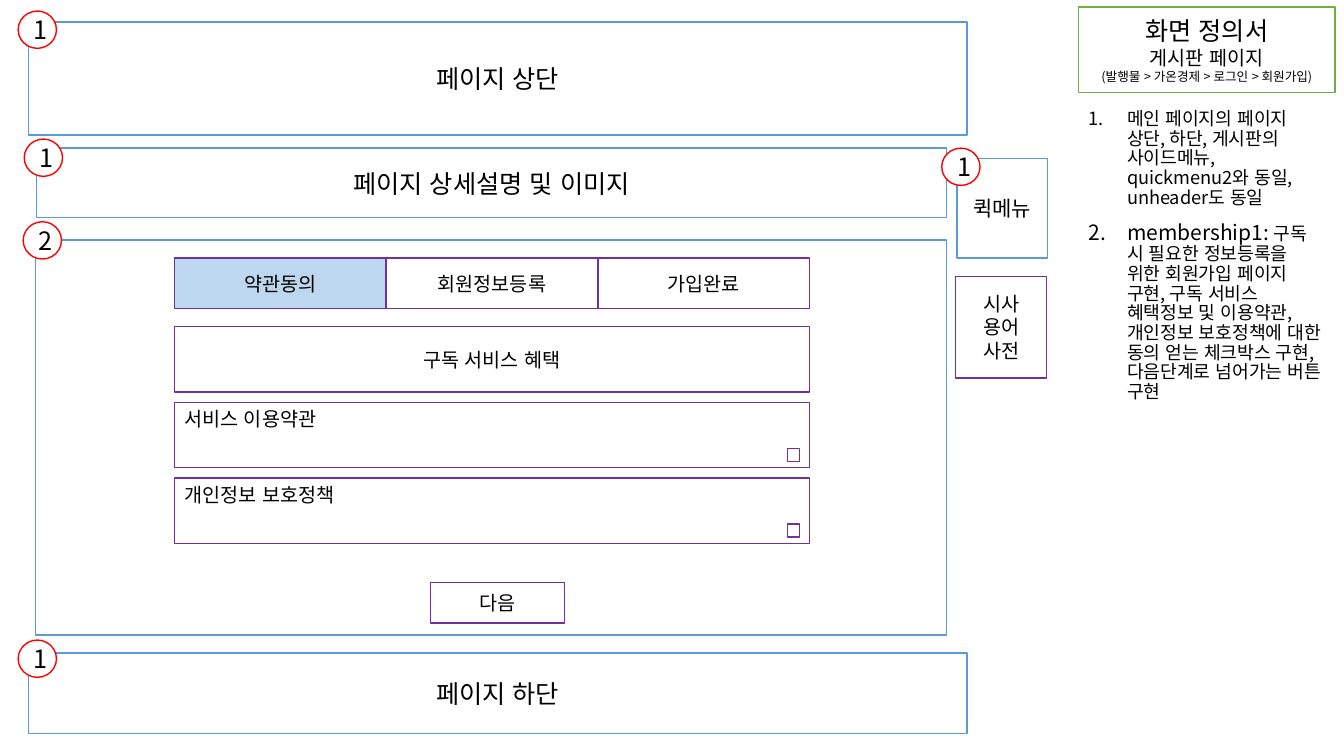
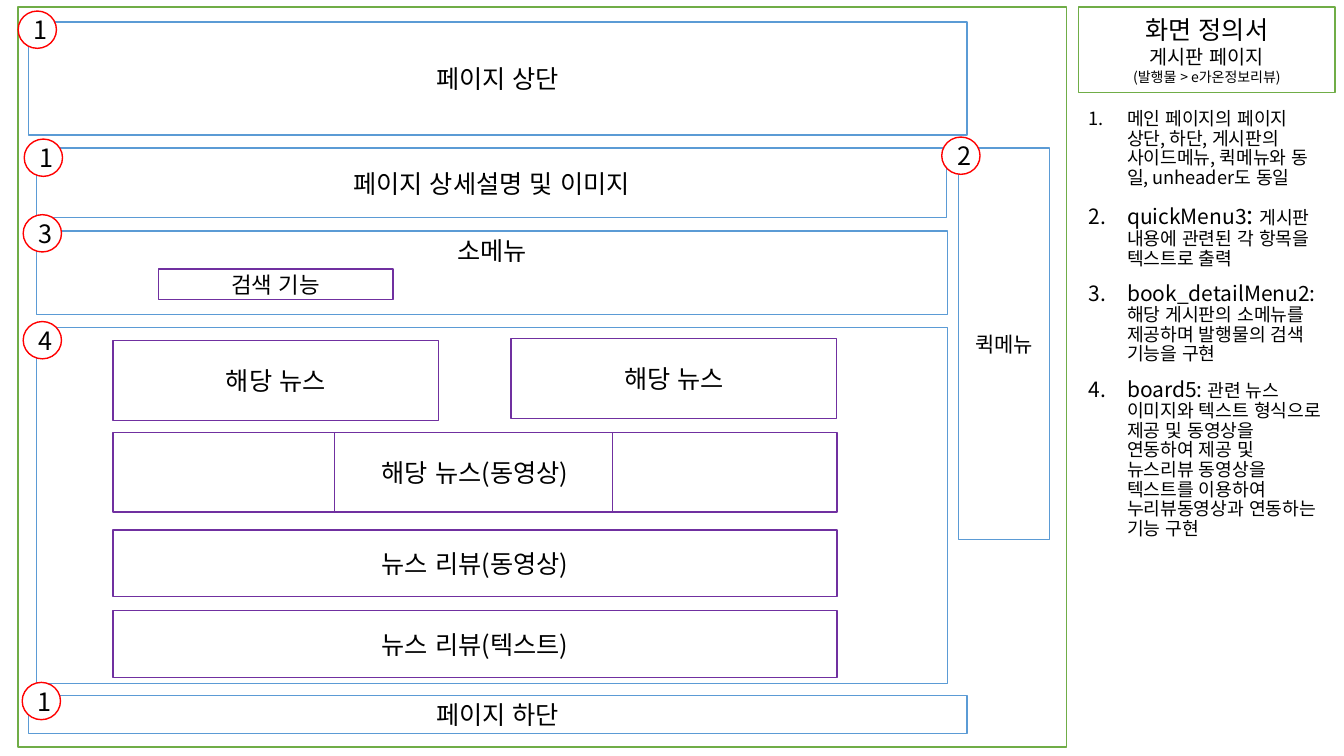
"""Build two screen-definition slides with wireframes and numbered notes."""
from dataclasses import dataclass

from lxml import etree
from pptx import Presentation
from pptx import util as u
from pptx.dml.color import RGBColor
from pptx.enum import lang, shapes, text
from pptx.oxml.ns import qn

FONT = "Noto Sans CJK KR"
COLORS = {
    "text": "000000",
    "paper": "FFFFFF",
    "section": "5B9BD5",
    "part": "7030A0",
    "frame": "70AD47",
    "badge": "FF0000",
    "active": "BDD7EE",
}
TERMS_TOPS = (3.99, 4.74)


@dataclass
class Box:
    x: float
    y: float
    w: float
    h: float
    label: str = ""
    size: float = 18
    line: str = "section"
    fill: str = "paper"
    align: text.PP_ALIGN = text.PP_ALIGN.CENTER
    anchor: text.MSO_ANCHOR = text.MSO_ANCHOR.MIDDLE


@dataclass
class Badge:
    x: float
    y: float
    number: int


@dataclass
class Span:
    label: str
    size: float = 13


@dataclass
class Screen:
    trail: Span
    notes: list[list[Span]]
    boxes: list[Box]
    badges: list[Badge]
    dividers: list[tuple[float, float, float]]


def rgb(name: str) -> RGBColor:
    return RGBColor.from_string(COLORS[name])


def format_run(r, size: float) -> None:
    r.font.size = u.Pt(size)
    r.font.name = FONT
    r.font.color.rgb = rgb("text")
    r.font.language_id = lang.MSO_LANGUAGE_ID.KOREAN
    ea = etree.SubElement(r.font._element, qn("a:ea"))
    ea.set("typeface", FONT)


def add_box(slide, box: Box, preset=shapes.MSO_SHAPE.RECTANGLE):
    sp = slide.shapes.add_shape(preset, u.Inches(box.x), u.Inches(box.y), u.Inches(box.w), u.Inches(box.h))
    sp.shadow.inherit = False
    sp.fill.solid()
    sp.fill.fore_color.rgb = rgb(box.fill)
    sp.line.color.rgb = rgb(box.line)
    sp.line.width = u.Pt(1)
    if box.label:
        tf = sp.text_frame
        tf.word_wrap = True
        tf.vertical_anchor = box.anchor
        p = tf.paragraphs[0]
        p.text = box.label
        p.alignment = box.align
        format_run(p.runs[0], box.size)
    return sp


def add_badge(slide, badge: Badge) -> None:
    box = Box(badge.x, badge.y, 0.38, 0.37, str(badge.number), line="badge")
    add_box(slide, box, shapes.MSO_SHAPE.FLOWCHART_CONNECTOR)


def add_divider(slide, x: float, top: float, bottom: float) -> None:
    line = slide.shapes.add_connector(
        shapes.MSO_CONNECTOR.STRAIGHT, u.Inches(x), u.Inches(top), u.Inches(x), u.Inches(bottom)
    )
    line.line.color.rgb = rgb("part")
    line.line.width = u.Pt(0.5)
    etree.SubElement(line._element.spPr, qn("a:effectLst"))


def add_heading(slide, trail: Span) -> None:
    tf = add_box(slide, Box(10.7, 0.07, 2.54, 0.85, "화면 정의서", line="frame")).text_frame
    tf.margin_left = tf.margin_right = 0
    for span in (Span("게시판 페이지", 14), trail):
        p = tf.add_paragraph()
        p.text = span.label
        p.alignment = text.PP_ALIGN.CENTER
        format_run(p.runs[0], span.size)


def add_notes(slide, notes: list[list[Span]]) -> None:
    sp = slide.shapes.add_textbox(u.Inches(10.7), u.Inches(1.04), u.Inches(2.54), u.Inches(6.23))
    tf = sp.text_frame
    tf.word_wrap = True
    for i, spans in enumerate(notes):
        p = tf.add_paragraph() if i else tf.paragraphs[0]
        p.line_spacing = 0.9
        p.space_before = u.Pt(10)
        pPr = p._p.get_or_add_pPr()
        pPr.set("marL", str(u.Inches(0.38)))
        pPr.set("indent", str(-u.Inches(0.38)))
        etree.SubElement(pPr, qn("a:buFont")).set("typeface", FONT)
        etree.SubElement(pPr, qn("a:buAutoNum")).set("type", "arabicPeriod")
        for span in spans:
            r = p.add_run()
            r.text = span.label
            format_run(r, span.size)


def add_screen(prs, screen: Screen) -> None:
    slide = prs.slides.add_slide(prs.slide_layouts[6])
    for box in screen.boxes:
        add_box(slide, box)
    for divider in screen.dividers:
        add_divider(slide, *divider)
    for badge in screen.badges:
        add_badge(slide, badge)
    add_heading(slide, screen.trail)
    add_notes(slide, screen.notes)


def part(x: float, y: float, w: float, h: float, label: str = "", size: float = 18, **style) -> Box:
    return Box(x, y, w, h, label, size, line="part", **style)


def terms(y: float, label: str) -> Box:
    return part(1.73, y, 6.3, 0.65, label, 14, align=text.PP_ALIGN.LEFT, anchor=text.MSO_ANCHOR.TOP)


PAGE_TOP = [
    Box(0.28, 0.22, 9.31, 1.12, "페이지 상단"),
    Box(0.36, 1.47, 9.03, 0.69, "페이지 상세설명 및 이미지"),
]
TOP_BADGES = [Badge(0.18, 0.11, 1), Badge(0.24, 1.38, 1)]

MEMBERSHIP = Screen(
    trail=Span("(발행물 > 가온경제 > 로그인 > 회원가입)", 9),
    notes=[
        [Span("메인 페이지의 페이지 상단, 하단, 게시판의 사이드메뉴, quickmenu2와 동일, unheader도 동일")],
        [
            Span("membership1: ", 15),
            Span(
                "구독 시 필요한 정보등록을 위한 회원가입 페이지 구현, 구독 서비스 혜택정보 및 이용약관, "
                "개인정보 보호정책에 대한 동의 얻는 체크박스 구현, 다음단계로 넘어가는 버튼 구현"
            ),
        ],
    ],
    boxes=[
        *PAGE_TOP,
        Box(0.28, 6.48, 9.31, 0.8, "페이지 하단"),
        Box(0.35, 2.38, 9.04, 3.92),
        Box(9.49, 1.57, 0.9, 0.99, "퀵메뉴", 15),
        part(9.48, 2.74, 0.9, 1.01, "시사 용어 사전", 14),
        *[
            part(1.73 + 2.1 * i, 2.56, 2.1, 0.5, label, 14, fill="paper" if i else "active")
            for i, label in enumerate(("약관동의", "회원정보등록", "가입완료"))
        ],
        part(1.73, 3.24, 6.3, 0.65, "구독 서비스 혜택", 14),
        *[terms(y, label) for y, label in zip(TERMS_TOPS, ("서비스 이용약관", "개인정보 보호정책"))],
        *[part(7.81, y + 0.46, 0.12, 0.13) for y in TERMS_TOPS],
        part(4.27, 5.78, 1.33, 0.4, "다음", 14),
    ],
    badges=[*TOP_BADGES, Badge(0.18, 6.35, 1), Badge(0.23, 2.2, 2), Badge(9.34, 1.47, 1)],
    dividers=[],
)

REVIEW = Screen(
    trail=Span("(발행물 > e가온정보리뷰)", 10),
    notes=[
        [Span("메인 페이지의 페이지 상단, 하단, 게시판의 사이드메뉴, 퀵메뉴와 동일, unheader도 동일")],
        [Span("quickMenu3", 15), Span(": ", 18), Span("게시판 내용에 관련된 각 항목을 텍스트로 출력")],
        [
            Span("book_detailMenu2: ", 15),
            Span("해당 게시판의 소메뉴를 제공하며 발행물의 검색 기능을 구현"),
        ],
        [
            Span("board5: ", 15),
            Span(
                "관련 뉴스 이미지와 텍스트 형식으로 제공 및 동영상을 연동하여 제공 및 "
                "뉴스리뷰 동영상을 텍스트를 이용하여 누리뷰동영상과 연동하는 기능 구현"
            ),
        ],
    ],
    boxes=[
        Box(0.18, 0.07, 10.4, 7.34, line="frame"),
        *PAGE_TOP,
        Box(0.28, 6.9, 9.31, 0.38, "페이지 하단"),
        Box(0.36, 3.25, 9.04, 3.53),
        Box(9.51, 1.47, 0.9, 3.88, "퀵메뉴", 15),
        Box(0.36, 2.29, 9.04, 0.83, "소메뉴", anchor=text.MSO_ANCHOR.TOP),
        part(1.57, 2.67, 2.33, 0.3, "검색 기능", 16),
        part(1.12, 3.38, 3.23, 0.79, "해당 뉴스"),
        part(5.07, 3.36, 3.23, 0.79, "해당 뉴스"),
        part(1.12, 4.29, 7.18, 0.79, "해당 뉴스(동영상)"),
        part(1.12, 5.26, 7.18, 0.66, "뉴스 리뷰(동영상)"),
        part(1.12, 6.06, 7.18, 0.66, "뉴스 리뷰(텍스트)"),
    ],
    badges=[
        *TOP_BADGES,
        Badge(0.22, 6.77, 1),
        Badge(9.34, 1.36, 2),
        Badge(0.23, 2.13, 3),
        Badge(0.23, 3.19, 4),
    ],
    dividers=[(x, 4.29, 5.08) for x in (3.32, 6.07)],
)


def main() -> None:
    prs = Presentation()
    prs.slide_width = u.Inches(13.33)
    prs.slide_height = u.Inches(7.5)
    for screen in (MEMBERSHIP, REVIEW):
        add_screen(prs, screen)
    prs.save("out.pptx")


if __name__ == "__main__":
    main()
